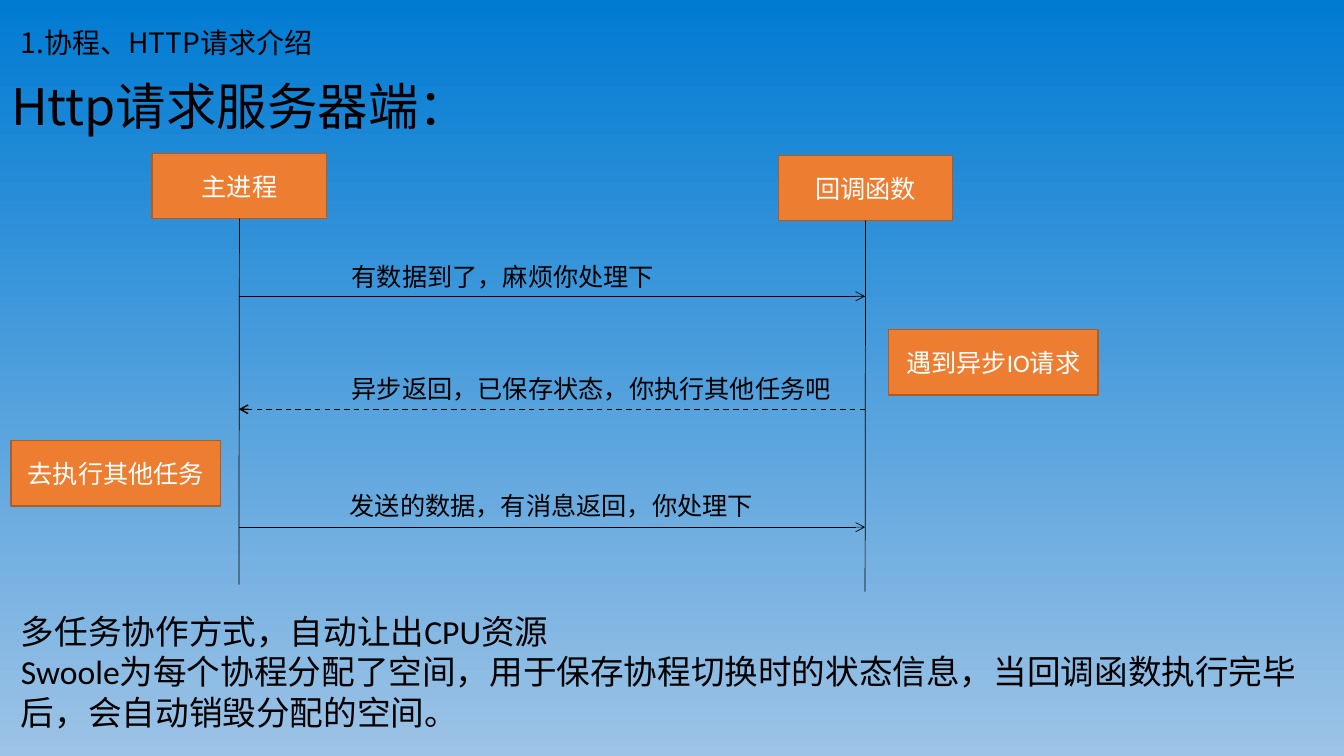
import pptx
import pptx.util
import pptx.dml.color
import pptx.enum.dml
import pptx.enum.shapes
import pptx.enum.text
import pptx.oxml.ns
import lxml.etree

Inches = pptx.util.Inches
Pt = pptx.util.Pt
RGBColor = pptx.dml.color.RGBColor
Anchor = pptx.enum.text.MSO_ANCHOR
Align = pptx.enum.text.PP_ALIGN
qn = pptx.oxml.ns.qn

theme = {
    "sky_top": RGBColor.from_string("007BD3"),
    "sky_bottom": RGBColor.from_string("9DC3E6"),
    "box_fill": RGBColor.from_string("ED7D31"),
    "box_line": RGBColor.from_string("AF5C24"),
    "ink": RGBColor.from_string("000000"),
    "box_text": RGBColor.from_string("FFFFFF"),
    "heading_font": "Noto Sans CJK SC",
    "body_font": "Calibri",
    "title_size": Pt(36),
    "summary_size": Pt(24),
    "section_size": Pt(20),
    "label_size": Pt(18),
}


def write(shape, text, size, color, font, align, anchor, spacing=1.0):
    frame = shape.text_frame
    frame.text = text
    frame.word_wrap = True
    frame.auto_size = pptx.enum.text.MSO_AUTO_SIZE.NONE
    frame.vertical_anchor = anchor
    for para in frame.paragraphs:
        para.alignment = align
        para.line_spacing = spacing
        for span in para.runs:
            span.font.size = size
            span.font.color.rgb = color
            span.font.name = font
            east_asian = lxml.etree.SubElement(span.font._element, qn("a:ea"))
            east_asian.set("typeface", theme["heading_font"])


def draw_line(start_x, start_y, end_x, end_y, arrow=False, dashed=False):
    line = page.shapes.add_connector(
        pptx.enum.shapes.MSO_CONNECTOR.STRAIGHT,
        Inches(start_x), Inches(start_y), Inches(end_x), Inches(end_y))
    line.line.color.rgb = theme["ink"]
    line.line.width = Pt(1 if dashed else 0.5)
    if dashed:
        line.line.dash_style = pptx.enum.dml.MSO_LINE.DASH
    if arrow:
        tail = lxml.etree.SubElement(line.line._get_or_add_ln(), qn("a:tailEnd"))
        tail.set("type", "arrow")
    lxml.etree.SubElement(line._element.spPr, qn("a:effectLst"))
    return line


deck = pptx.Presentation()
deck.slide_width = Inches(13.33)
deck.slide_height = Inches(7.5)
page = deck.slides.add_slide(deck.slide_layouts[5])

sky = page.background.fill
sky.gradient()
sky.gradient_angle = 270
for stop, position, name in zip(sky.gradient_stops, (0, 1), ("sky_top", "sky_bottom")):
    stop.position = position
    stop.color.rgb = theme[name]

title = page.shapes.title
title.left, title.top = Inches(0.01), Inches(0.76)
title.width, title.height = Inches(13.31), Inches(0.7)
write(title, "Http请求服务器端：", theme["title_size"], theme["ink"],
      theme["heading_font"], Align.LEFT, Anchor.TOP, 0.9)

section = page.shapes.add_textbox(Inches(0.11), Inches(0.13), Inches(13.11), Inches(0.51))
write(section, "1.协程、HTTP请求介绍", theme["section_size"], theme["ink"],
      theme["heading_font"], Align.LEFT, Anchor.BOTTOM, 0.9)

boxes = {}
for name, left, top, width in (
    ("主进程", 1.51, 1.52, 1.73),
    ("回调函数", 7.72, 1.54, 1.73),
    ("去执行其他任务", 0.11, 4.37, 2.08),
    ("遇到异步IO请求", 8.81, 3.27, 2.08),
):
    box = page.shapes.add_shape(
        pptx.enum.shapes.MSO_SHAPE.RECTANGLE,
        Inches(left), Inches(top), Inches(width), Inches(0.65))
    box.shadow.inherit = False
    box.fill.solid()
    box.fill.fore_color.rgb = theme["box_fill"]
    box.line.color.rgb = theme["box_line"]
    box.line.width = Pt(1)
    write(box, name, theme["label_size"], theme["box_text"],
          theme["body_font"], Align.CENTER, Anchor.MIDDLE)
    boxes[name] = box

main_x, callback_x = 2.37, 8.58
for name, x, top, bottom in (
    ("主进程", main_x, 2.17, 5.8),
    ("回调函数", callback_x, 2.19, 5.87),
):
    lifeline = draw_line(x, top, x, bottom)
    lifeline.begin_connect(boxes[name], 2)

for text, start_x, end_x, y, dashed, left, top, width in (
    ("有数据到了，麻烦你处理下", main_x, callback_x, 2.94, False, 3.39, 2.54, 3.64),
    ("异步返回，已保存状态，你执行其他任务吧", callback_x, main_x, 4.06, True, 3.39, 3.65, 5.19),
    ("发送的数据，有消息返回，你处理下", main_x, callback_x, 5.23, False, 3.37, 4.82, 5.09),
):
    draw_line(start_x, y, end_x, y, arrow=True, dashed=dashed)
    message = page.shapes.add_textbox(Inches(left), Inches(top), Inches(width), Inches(0.4))
    write(message, text, theme["label_size"], theme["ink"],
          theme["body_font"], Align.LEFT, Anchor.TOP)

summary = page.shapes.add_textbox(Inches(0.11), Inches(6.01), Inches(13.01), Inches(1.31))
write(summary,
      "多任务协作方式，自动让出CPU资源\n"
      "Swoole为每个协程分配了空间，用于保存协程切换时的状态信息，"
      "当回调函数执行完毕后，会自动销毁分配的空间。",
      theme["summary_size"], theme["ink"], theme["body_font"], Align.LEFT, Anchor.TOP)

deck.save("out.pptx")
